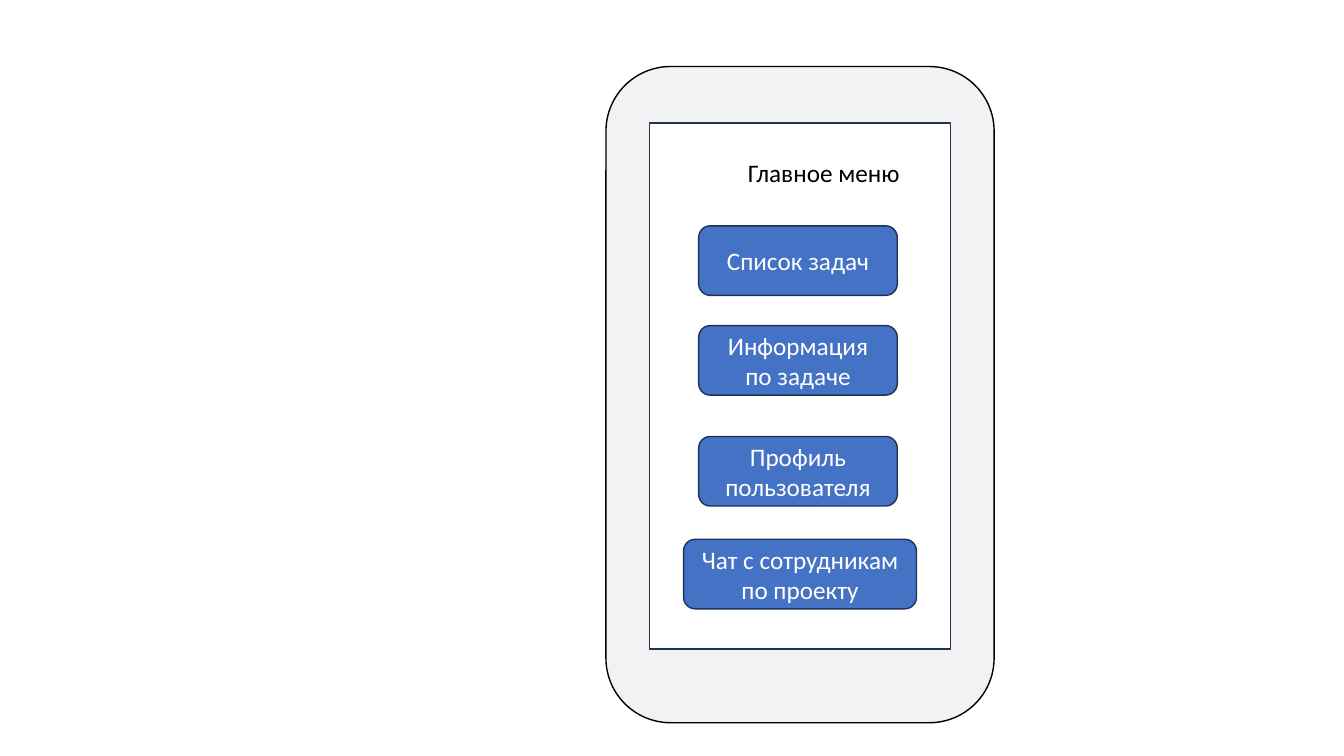
from dataclasses import dataclass

from pptx import Presentation
from pptx import util as u
from pptx.dml.color import RGBColor
from pptx.enum import shapes, text


@dataclass(frozen=True)
class Theme:
    font: str = "Calibri"
    size: int = 18
    line_width: int = 1
    body: str = "F2F2F2"
    screen: str = "FFFFFF"
    button: str = "4472C4"
    edge: str = "1E3256"
    dark: str = "000000"
    light: str = "FFFFFF"


THEME = Theme()
BUTTON_HEIGHT = 0.69
# Label, left, top, width
BUTTONS = [
    ("Список задач", 6.93, 2.24, 1.97),
    ("Информация по задаче", 6.93, 3.23, 1.97),
    ("Профиль пользователя", 6.93, 4.33, 1.97),
    ("Чат с сотрудникам по проекту", 6.78, 5.35, 2.31),
]


def set_all(obj, values):
    for name, value in values.items():
        setattr(obj, name, value)


def write(sp, words, color, align, frame):
    tf = sp.text_frame
    set_all(tf, {"word_wrap": True, **frame})
    p = tf.paragraphs[0]
    p.alignment = align
    r = p.add_run()
    r.text = words
    set_all(r.font, {"name": THEME.font, "size": u.Pt(THEME.size)})
    r.font.color.rgb = RGBColor.from_string(color)


def add_panel(parent, kind, box, fill, line):
    sp = parent.add_shape(kind, *map(u.Inches, box))
    sp.shadow.inherit = False
    sp.fill.solid()
    sp.fill.fore_color.rgb = RGBColor.from_string(fill)
    sp.line.color.rgb = RGBColor.from_string(line)
    sp.line.width = u.Pt(THEME.line_width)
    return sp


def add_phone(s):
    group = s.shapes.add_group_shape().shapes
    kinds = shapes.MSO_SHAPE
    add_panel(group, kinds.ROUNDED_RECTANGLE, (6.01, 0.66, 3.85, 6.51),
              THEME.body, THEME.dark)
    add_panel(group, kinds.RECTANGLE, (6.44, 1.22, 2.99, 5.22),
              THEME.screen, THEME.edge)


def add_button(s, label, left, top, width):
    sp = add_panel(s.shapes, shapes.MSO_SHAPE.ROUNDED_RECTANGLE,
                   (left, top, width, BUTTON_HEIGHT), THEME.button, THEME.edge)
    write(sp, label, THEME.light, text.PP_ALIGN.CENTER,
          {"vertical_anchor": text.MSO_ANCHOR.MIDDLE})


def add_heading(s, words, box):
    sp = s.shapes.add_textbox(*map(u.Inches, box))
    write(sp, words, THEME.dark, text.PP_ALIGN.LEFT,
          {"auto_size": text.MSO_AUTO_SIZE.SHAPE_TO_FIT_TEXT})


def main():
    prs = Presentation()
    set_all(prs, {"slide_width": u.Inches(13.33), "slide_height": u.Inches(7.5)})
    s = prs.slides.add_slide(prs.slide_layouts[6])

    # Phone body and screen
    add_phone(s)

    # Menu buttons
    for button in BUTTONS:
        add_button(s, *button)

    # Screen heading
    add_heading(s, "Главное меню", (7.32, 1.51, 3, 0.4))

    prs.save("out.pptx")


main()
